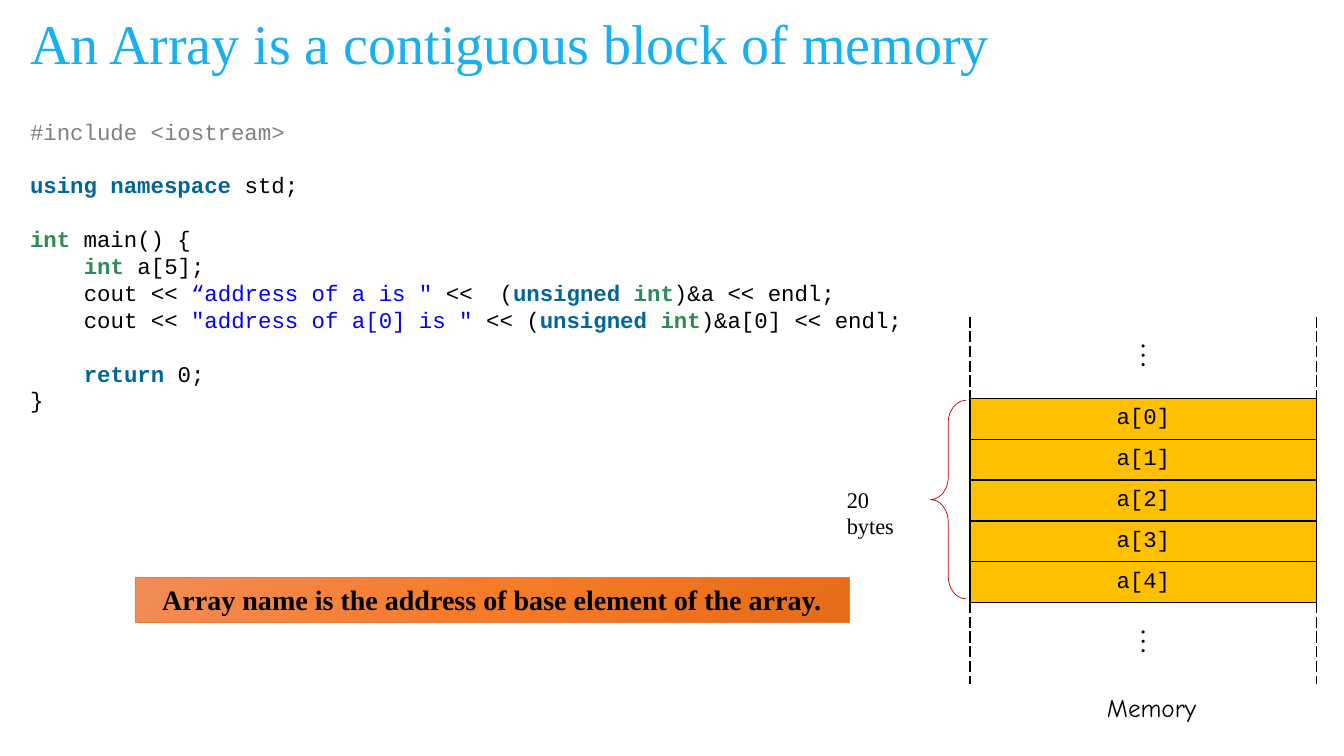
import copy
from lxml import etree
from pptx import Presentation
from pptx import util as u
from pptx.dml.color import RGBColor
from pptx.enum import shapes, text
from pptx.oxml import ns

COLORS = {
    "title": "18B0F0", "text": "000000", "directive": "808080",
    "keyword": "006699", "type": "2E8B57", "string": "0000FF",
    "cell": "FFC000", "brace": "C00000", "banner_line": "ED7D31",
}
BANNER_STOPS = [(0, "F18C57"), (0.5, "F67B28"), (1, "E56C19")]
SERIF, MONO = "Times New Roman", "Courier New"
BOLD_KINDS = ("keyword", "type")
LINE_HEIGHT = u.Pt(19.2)
INDENT = u.Pt(38.4)

CODE = [
    (0, False, [("#include <iostream>", "directive")]),
    (0, True, [("using namespace ", "keyword"), ("std;", "text")]),
    (0, True, [("int", "type"), (" main() {", "text")]),
    (1, False, [("int", "type"), (" a[5];", "text")]),
    (1, False, [("cout << ", "text"), ("“address of a is \"", "string"),
                (" <<  (", "text"), ("unsigned ", "keyword"), ("int", "type"),
                (")&a << endl;", "text")]),
    (1, False, [("cout << ", "text"), ("\"address of a[0] is \"", "string"),
                (" << (", "text"), ("unsigned ", "keyword"), ("int", "type"),
                (")&a[0] << endl;", "text")]),
    (1, True, [("return", "keyword"), (" 0;", "text")]),
    (0, False, [("}", "text")]),
]


def rgb(name):
    """Return the colour stored under a name."""
    return RGBColor.from_string(COLORS[name])


def set_all(target, values):
    """Set every attribute in a dict of format values."""
    for name, value in values.items():
        setattr(target, name, value)


def add_run(paragraph, words, color="text", **font):
    """Add a run with its font values."""
    run = paragraph.add_run()
    run.text = words
    set_all(run.font, font)
    run.font.color.rgb = rgb(color)


def add_label(slide, box, words, color="text", frame=None, line=None, **font):
    """Add a text box holding one line of wording."""
    text_frame = slide.shapes.add_textbox(*map(u.Inches, box)).text_frame
    set_all(text_frame, {"word_wrap": True, **(frame or {})})
    paragraph = text_frame.paragraphs[0]
    set_all(paragraph, line or {})
    add_run(paragraph, words, color, **font)


def add_code(slide, box):
    """Add the coloured program listing."""
    text_frame = slide.shapes.add_textbox(*map(u.Inches, box)).text_frame
    text_frame.word_wrap = True
    for number, (level, gap, runs) in enumerate(CODE):
        paragraph = text_frame.add_paragraph() if number else text_frame.paragraphs[0]
        set_all(paragraph, {"line_spacing": LINE_HEIGHT,
                            "space_before": LINE_HEIGHT if gap else u.Pt(0)})
        paragraph._p.get_or_add_pPr().set("marL", str(level * INDENT))
        for words, kind in runs:
            add_run(paragraph, words, kind, name=MONO, size=u.Pt(16),
                    bold=kind in BOLD_KINDS)


def set_borders(cell, dashes):
    """Draw the sides of a cell, where None hides a side."""
    properties = cell._tc.get_or_add_tcPr()
    for side, dash in zip("LRTB", dashes):
        border = etree.SubElement(properties, ns.qn(f"a:ln{side}"), w=str(u.Pt(1)))
        if dash is None:
            etree.SubElement(border, ns.qn("a:noFill"))
            continue
        fill = etree.SubElement(border, ns.qn("a:solidFill"))
        etree.SubElement(fill, ns.qn("a:srgbClr"), val=COLORS["text"])
        etree.SubElement(border, ns.qn("a:prstDash"), val=dash)


def add_memory(slide, box, elements=5):
    """Add the memory column with its brace and labels."""
    left, top, width, height = box
    row_height = height / (elements + 4)
    labels = ["⋮", *(f"a[{index}]" for index in range(elements)), "⋮"]
    table = slide.shapes.add_table(len(labels), 1, *map(u.Inches, box)).table
    set_all(table, {"first_row": False, "horz_banding": False})
    for number, label in enumerate(labels):
        first, last = number == 0, number == len(labels) - 1
        outer = first or last
        table.rows[number].height = u.Inches(row_height * (2 if outer else 1))
        cell = table.cell(number, 0)
        cell.vertical_anchor = text.MSO_ANCHOR.MIDDLE
        side = "dash" if outer else "solid"
        set_borders(cell, (side, side, None if first else "solid",
                           None if last else "solid"))
        if outer:
            cell.fill.background()
        else:
            cell.fill.solid()
            cell.fill.fore_color.rgb = rgb("cell")
        paragraph = cell.text_frame.paragraphs[0]
        paragraph.alignment = text.PP_ALIGN.CENTER
        add_run(paragraph, label, name="Cambria" if outer else MONO,
                size=u.Pt(20 if outer else 16))

    brace = slide.shapes.add_shape(
        shapes.MSO_SHAPE.LEFT_BRACE, u.Inches(left - 0.39),
        u.Inches(top + 2 * row_height + 0.02), u.Inches(0.35), u.Inches(1.97))
    brace.adjustments[0] = 0.637
    brace.shadow.inherit = False
    brace.fill.background()
    brace.line.color.rgb = rgb("brace")
    brace.line.width = u.Pt(0.5)
    add_label(slide, (left - 1.32, top + 1.63, 0.91, 0.37), "20 bytes",
              name=SERIF, size=u.Pt(16))
    add_label(slide, (left + 1.26, top + height + 0.03, 1.09, 0.4), "Memory",
              frame={"word_wrap": False}, name="Comic Neue", size=u.Pt(18))


def add_banner(slide, box):
    """Add the gradient bar with the conclusion."""
    banner = slide.shapes.add_shape(shapes.MSO_SHAPE.RECTANGLE, *map(u.Inches, box))
    banner.shadow.inherit = False
    banner.fill.gradient()
    banner.fill.gradient_angle = 315
    stop_list = banner._element.spPr.find(".//" + ns.qn("a:gsLst"))
    stop_list.append(copy.deepcopy(stop_list[-1]))
    for stop, (position, color) in zip(banner.fill.gradient_stops, BANNER_STOPS):
        stop.position = position
        stop.color.rgb = RGBColor.from_string(color)
    banner.line.color.rgb = rgb("banner_line")
    banner.line.width = u.Pt(0.5)
    set_all(banner.text_frame, {"word_wrap": True,
                                "vertical_anchor": text.MSO_ANCHOR.MIDDLE})
    paragraph = banner.text_frame.paragraphs[0]
    paragraph.alignment = text.PP_ALIGN.CENTER
    add_run(paragraph, "Array name is the address of base element of the array.",
            name=SERIF, size=u.Pt(20), bold=True)


def main():
    """Build the slide and save it."""
    presentation = Presentation()
    set_all(presentation, {"slide_width": u.Inches(13.33),
                           "slide_height": u.Inches(7.5)})
    slide = presentation.slides.add_slide(presentation.slide_layouts[6])
    add_code(slide, (0.2, 1.12, 10.2, 3.06))
    add_label(slide, (0.2, 0.13, 10.96, 0.65),
              "An Array is a contiguous block of memory", "title",
              frame={"vertical_anchor": text.MSO_ANCHOR.MIDDLE},
              line={"line_spacing": 0.9}, name=SERIF, size=u.Pt(40))
    add_memory(slide, (9.62, 3.14, 3.44, 3.65))
    add_banner(slide, (1.34, 5.73, 7.08, 0.44))
    presentation.save("out.pptx")


if __name__ == "__main__":
    main()
